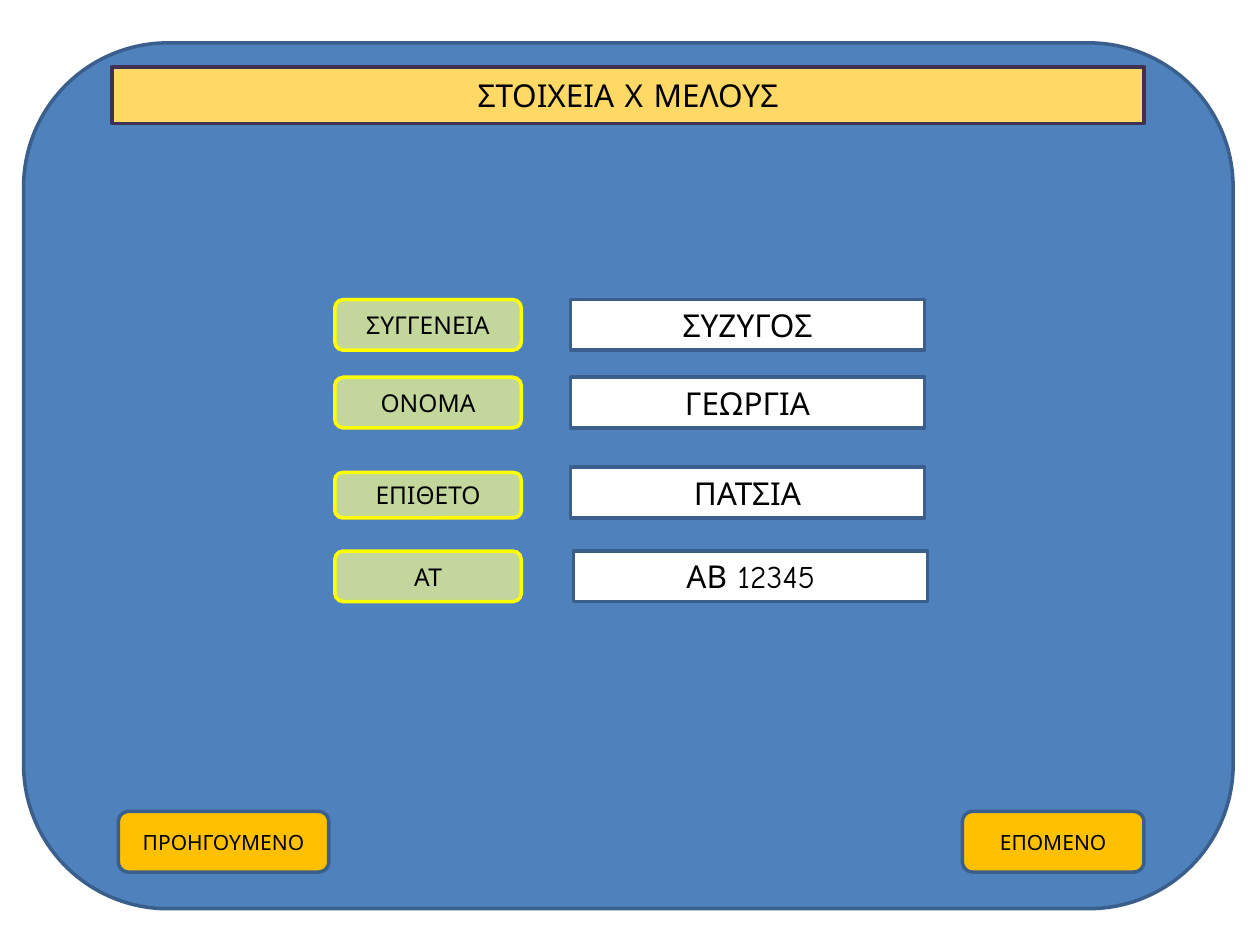
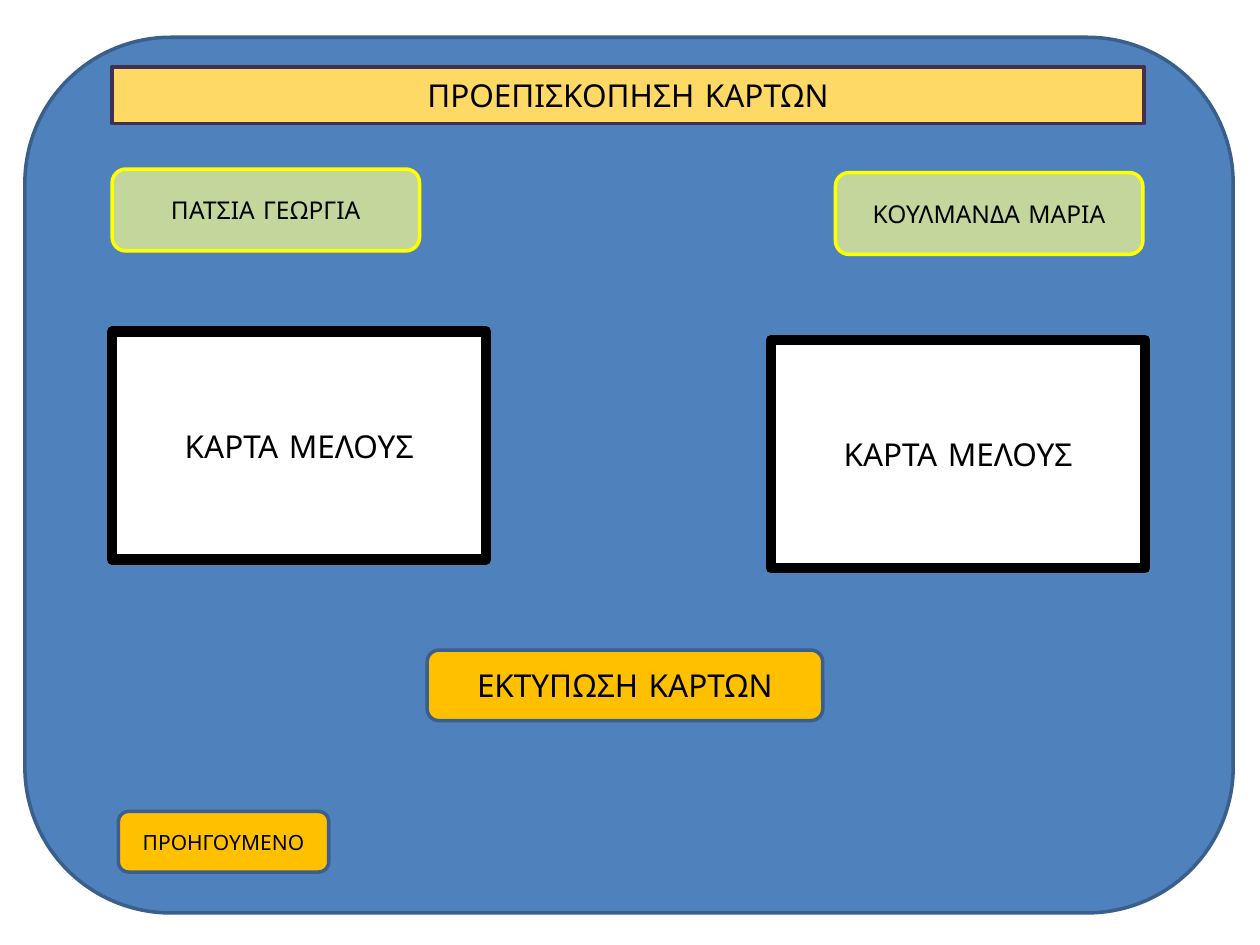
from pptx import Presentation
from pptx.dml.color import RGBColor
from pptx.enum.shapes import MSO_SHAPE
from pptx.enum.text import MSO_ANCHOR, MSO_AUTO_SIZE, PP_ALIGN
from pptx.util import Pt

RECTANGLE = MSO_SHAPE.RECTANGLE
ROUNDED = MSO_SHAPE.ROUNDED_RECTANGLE
CENTER = PP_ALIGN.CENTER
MIDDLE = MSO_ANCHOR.MIDDLE
NO_AUTOFIT = MSO_AUTO_SIZE.NONE
TITLE_ONLY = 5

FONT = "Comic Neue"
COLORS = {
    "panel": "4F81BD",
    "outline": "3A5F8C",
    "title": "FFD966",
    "title_line": "403152",
    "label": "C3D69B",
    "label_line": "FFFF00",
    "button": "FFC000",
    "white": "FFFFFF",
    "black": "000000",
}


def color(name):
    return RGBColor.from_string(COLORS[name])


def write_text(shape, text, size=18, font=FONT, ink="black"):
    frame = shape.text_frame
    frame.word_wrap = True
    frame.auto_size = NO_AUTOFIT
    frame.vertical_anchor = MIDDLE
    paragraph = frame.paragraphs[0]
    paragraph.alignment = CENTER
    run = paragraph.add_run()
    run.text = text
    run.font.name = font
    run.font.size = Pt(size)
    run.font.color.rgb = color(ink)


def paint(shape, fill, line, width=2):
    shape.fill.solid()
    shape.fill.fore_color.rgb = color(fill)
    shape.line.color.rgb = color(line)
    shape.line.width = Pt(width)


class FormDeck:
    """Holds the form style and the slide being built."""

    def __init__(self):
        self.presentation = Presentation()
        self.presentation.slide_width = Pt(720)
        self.presentation.slide_height = Pt(540)
        self.slide = None

    def start_slide(self, title, panel_box):
        layout = self.presentation.slide_layouts[TITLE_ONLY]
        self.slide = self.presentation.slides.add_slide(layout)
        band = self.slide.shapes.title
        band.left, band.top = Pt(64.1), Pt(38.2)
        band.width, band.height = Pt(589.7), Pt(32.4)
        paint(band, "title", "title_line")
        write_text(band, title)
        # The panel lies behind the title band
        panel = self.box(ROUNDED, panel_box, "panel", "outline")
        band.element.addprevious(panel.element)

    def box(self, kind, bounds, fill, line, width=2):
        shape = self.slide.shapes.add_shape(kind, *map(Pt, bounds))
        shape.shadow.inherit = False
        paint(shape, fill, line, width)
        return shape

    def label(self, text, *bounds):
        write_text(self.box(ROUNDED, bounds, "label", "label_line"), text, size=14)

    def field(self, text, *bounds):
        write_text(self.box(RECTANGLE, bounds, "white", "outline"), text)

    def card(self, text, left, top):
        bounds = (left, top, 213.8, 130.3)
        write_text(self.box(RECTANGLE, bounds, "white", "black", width=6), text)

    def button(self, text, *bounds, size=12):
        write_text(self.box(ROUNDED, bounds, "button", "outline"), text, size=size)

    def previous_button(self):
        self.button("ΠΡΟΗΓΟΥΜΕΝΟ", 67.7, 463.7, 120.2, 34.6)


def build_member_form(deck):
    deck.start_slide("ΣΤΟΙΧΕΙΑ Χ ΜΕΛΟΥΣ", (13.5, 24.5, 691.2, 494.8))

    # Label and field share their bottom edge
    row_height = 28.9
    rows = [  # label, value, top, label height, field left
        ("ΣΥΓΓΕΝΕΙΑ", "ΣΥΖΥΓΟΣ", 171.2, row_height, 326),
        ("ΟΝΟΜΑ", "ΓΕΩΡΓΙΑ", 215.6, row_height, 326),
        ("ΕΠΙΘΕΤΟ", "ΠΑΤΣΙΑ", 267, 25.9, 326),
        ("ΑΤ", "ΑΒ 12345", 314.9, row_height, 327.8),
    ]
    for label, value, top, label_height, field_left in rows:
        label_top = top + row_height - label_height
        deck.label(label, 191.3, label_top, 106.6, label_height)
        deck.field(value, field_left, top, 202.3, row_height)

    # Navigation
    deck.previous_button()
    deck.button("ΕΠΟΜΕΝΟ", 550, 463.7, 103.7, 34.6)


def build_card_preview(deck):
    deck.start_slide("ΠΡΟΕΠΙΣΚΟΠΗΣΗ ΚΑΡΤΩΝ", (14.2, 21.3, 690.5, 500.4))

    # Each member's name above a card
    members = [  # name, label left and top, card left and top
        ("ΠΑΤΣΙΑ ΓΕΩΡΓΙΑ", 64.1, 96.6, 64.1, 189.4),
        ("ΚΟΥΛΜΑΝΔΑ ΜΑΡΙΑ", 477.4, 98.6, 440.6, 194.4),
    ]
    for name, label_left, label_top, card_left, card_top in members:
        deck.label(name, label_left, label_top, 175.7, 46.8)
        deck.card("ΚΑΡΤΑ ΜΕΛΟΥΣ", card_left, card_top)

    # Printing and navigation
    deck.button("ΕΚΤΥΠΩΣΗ ΚΑΡΤΩΝ", 244.1, 371.5, 226.1, 40.3, size=18)
    deck.previous_button()


def main():
    deck = FormDeck()
    build_member_form(deck)
    build_card_preview(deck)
    deck.presentation.save("out.pptx")


if __name__ == "__main__":
    main()
